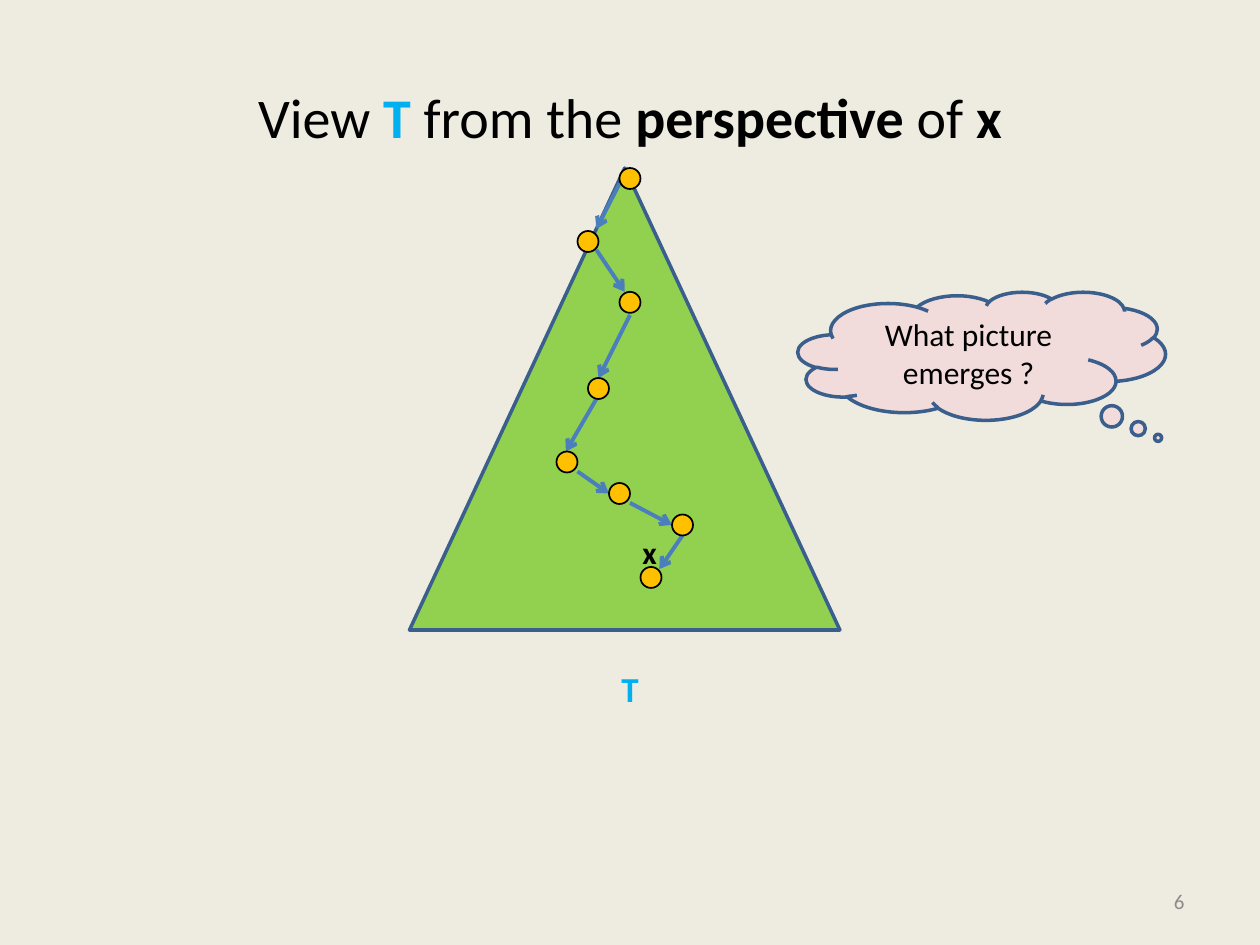
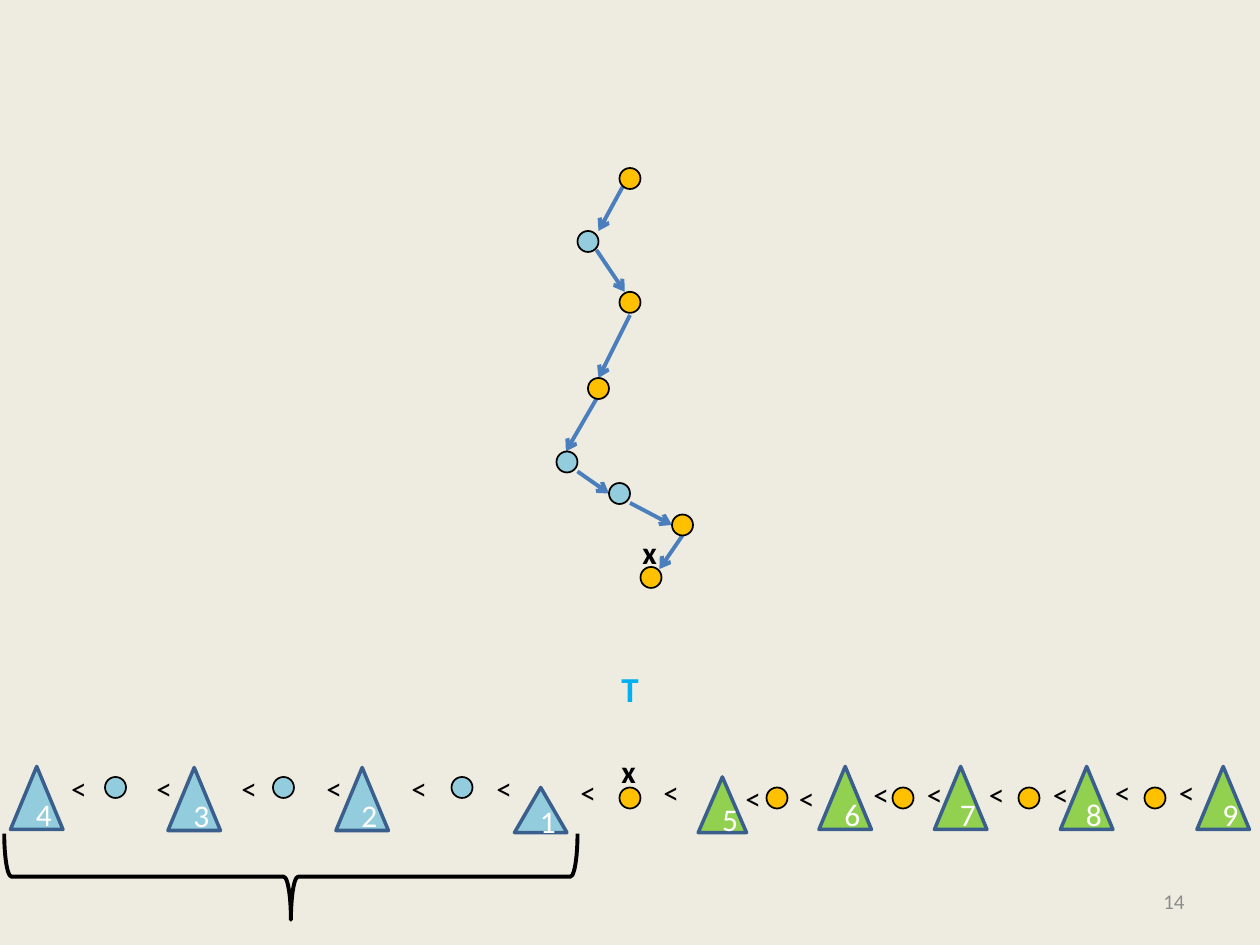
from pptx import Presentation
from pptx import util as u
from pptx.dml import color as dml
from pptx.enum import shapes, text
from pptx.oxml import ns
from lxml import etree

PX = 7620
FONT = "Calibri"
COLORS = {
    "paper": "EEECE1", "ink": "000000", "white": "FFFFFF", "grey": "8C8C8C",
    "cyan": "00B0F0", "gold": "FFC000", "blue": "93CDDD", "green": "92D050",
    "pink": "F2DCDB", "edge": "3A5F8C", "arrow": "4B7EBC",
}
SHAPE = shapes.MSO_SHAPE
ALIGN = text.PP_ALIGN
NODE = 20
PATH_NODES = [(590, 160), (550, 220), (590, 278), (560, 360),
              (530, 430), (580, 460), (640, 490), (610, 540)]
PATH_ARROWS = [(568, 238, 595, 278), (600, 300, 570, 360), (568, 380, 539, 430),
               (550, 449, 580, 470), (600, 479, 640, 500), (650, 510, 628, 542)]
SMALLER_NODES = {1, 4, 5}


def px(n):
    return u.Emu(n * PX)


def rgb(name):
    return dml.RGBColor.from_string(COLORS[name])


def write(tf, content, size=18, color="ink", bold=False, align=ALIGN.LEFT,
          anchor=text.MSO_ANCHOR.TOP):
    runs = [(content, {})] if isinstance(content, str) else content
    tf.vertical_anchor = anchor
    p = tf.paragraphs[0]
    p.alignment = align
    for words, style in runs:
        r = p.add_run()
        r.text = words
        r.font.name = FONT
        r.font.size = u.Pt(size)
        r.font.bold = style.get("bold", bold)
        r.font.color.rgb = rgb(style.get("color", color))


class Deck:
    def __init__(self):
        self.prs = Presentation()
        self.prs.slide_width, self.prs.slide_height = px(1200), px(900)
        fill = self.prs.slide_master.background.fill
        fill.solid()
        fill.fore_color.rgb = rgb("paper")
        self.s = None

    def slide(self, number):
        self.s = self.prs.slides.add_slide(self.prs.slide_layouts[6])
        self.box(860, 834, 280, 48, str(number), size=12, color="grey",
                 align=ALIGN.RIGHT, anchor=text.MSO_ANCHOR.MIDDLE)

    def box(self, x, y, w, h, content, **style):
        tf = self.s.shapes.add_textbox(px(x), px(y), px(w), px(h)).text_frame
        tf.word_wrap = True
        write(tf, content, **style)
        return tf

    def title(self, runs):
        self.box(60, 36, 1080, 150, runs, size=32, align=ALIGN.CENTER,
                 anchor=text.MSO_ANCHOR.MIDDLE)

    def label(self, x, y, w, h, content, **style):
        tf = self.box(x, y, w, h, content, **style)
        tf.word_wrap = False
        tf.auto_size = text.MSO_AUTO_SIZE.SHAPE_TO_FIT_TEXT

    def shape(self, kind, x, y, w, h, fill=None, line="edge", weight=2,
              content=None, color="ink"):
        sp = self.s.shapes.add_shape(kind, px(x), px(y), px(w), px(h))
        sp.shadow.inherit = False
        if fill:
            sp.fill.solid()
            sp.fill.fore_color.rgb = rgb(fill)
        else:
            sp.fill.background()
        sp.line.color.rgb = rgb(line)
        sp.line.width = u.Pt(weight)
        if content:
            write(sp.text_frame, content, color=color, align=ALIGN.CENTER,
                  anchor=text.MSO_ANCHOR.MIDDLE)
        return sp

    def node(self, x, y, fill="gold"):
        self.shape(SHAPE.OVAL, x, y, NODE, NODE, fill, "ink", 1)

    def subtree(self, name, x, y, fill, w=50, h=60):
        self.shape(SHAPE.ISOSCELES_TRIANGLE, x, y, w, h, fill,
                   content=name, color="white")

    def arrow(self, x1, y1, x2, y2):
        c = self.s.shapes.add_connector(shapes.MSO_CONNECTOR.STRAIGHT,
                                        px(x1), px(y1), px(x2), px(y2))
        c.line.color.rgb = rgb("arrow")
        c.line.width = u.Pt(2.25)
        etree.SubElement(c.line._get_or_add_ln(), ns.qn("a:tailEnd"), type="arrow")
        etree.SubElement(c._element.spPr, ns.qn("a:effectLst"))

    def less(self, x, y):
        self.label(x, y, 40, 48, "<")

    def search_path(self, first_arrow, smaller="gold"):
        for ends in [first_arrow] + PATH_ARROWS:
            self.arrow(*ends)
        for i, (x, y) in enumerate(PATH_NODES):
            self.node(x, y, smaller if i in SMALLER_NODES else "gold")
        self.label(600, 502, 38, 48, "x", bold=True)
        self.label(580, 630, 41, 53, "T", size=20, color="cyan", bold=True)


def perspective_slide(d):
    d.slide(6)
    d.title([("View ", {}), ("T ", {"color": "cyan", "bold": True}),
             ("from the ", {}), ("perspective", {"bold": True}),
             (" of ", {}), ("x", {"bold": True})])
    d.shape(SHAPE.ISOSCELES_TRIANGLE, 390, 160, 410, 440, "green")
    d.search_path((590, 175, 568, 218))
    cloud = d.shape(SHAPE.CLOUD_CALLOUT, 760, 278, 350, 122, "pink",
                    content="What picture emerges ?")
    cloud.adjustments[0], cloud.adjustments[1] = 0.48, 0.64


def order_slide(d):
    d.slide(14)
    d.search_path((593, 178, 570, 220), smaller="blue")

    for name, x, y in [("4", 10, 730), ("3", 160, 731), ("2", 320, 731)]:
        d.subtree(name, x, y, "blue")
    d.subtree("1", 490, 750, "blue", h=43)
    d.subtree("5", 665, 740, "green", w=46, h=53)
    for name, x in [("6", 780), ("7", 890), ("8", 1010), ("9", 1140)]:
        d.subtree(name, x, 730, "green")

    for x in (100, 260, 430):
        d.node(x, 740, "blue")
    for x in (590, 730, 850, 970, 1090):
        d.node(x, 750)
    d.label(580, 710, 38, 48, "x", bold=True)

    for i in range(6):
        d.less(56 + 81 * i, 727)
    for y, lefts in [(730, (541, 620, 1050, 1111)), (736, (698, 749)),
                     (732, (820, 871, 930, 991))]:
        for x in lefts:
            d.less(x, y)

    brace = d.shape(SHAPE.RIGHT_BRACE, 236, 562, 82, 546, line="ink", weight=2.25)
    brace.rotation = 90


def main():
    d = Deck()
    perspective_slide(d)
    order_slide(d)
    d.prs.save("out.pptx")


if __name__ == "__main__":
    main()
